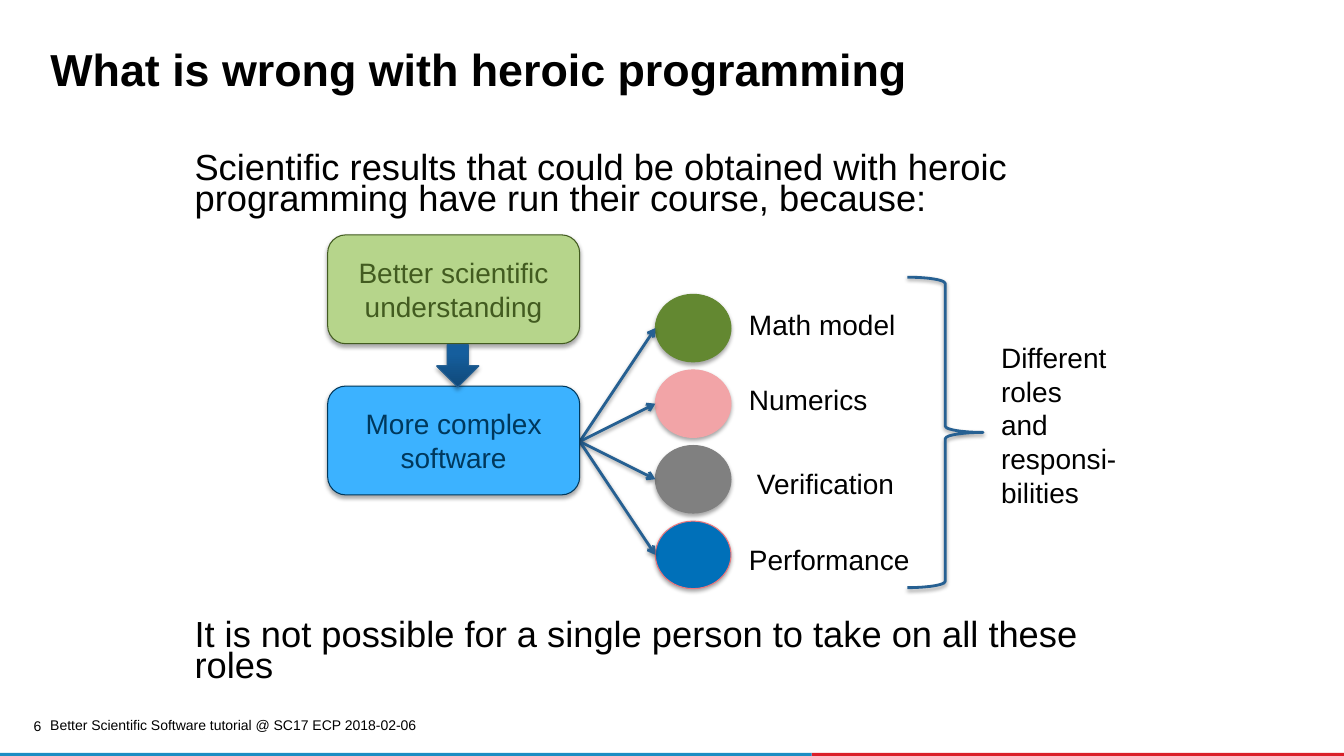
from lxml import etree
from pptx import Presentation
from pptx import util as u
from pptx.dml.color import RGBColor
from pptx.enum import shapes, text
from pptx.oxml.ns import qn

Inches, Pt = u.Inches, u.Pt
Shape, Align, Anchor = shapes.MSO_SHAPE, text.PP_ALIGN, text.MSO_ANCHOR


class Theme:
    font = "Arial"
    ink = "000000"
    footer_blue, footer_red = "1B8DC3", "DA1F28"
    green_box, green_ink = "B6D58B", "425B20"
    blue_box, blue_ink = "3CB2FF", "00385C"
    link, arrow_edge = "266092", "235E91"
    arrow_dark, arrow_light = "104979", "155E9D"
    math, numerics, verification = "638831", "F2A4A7", "808080"
    performance, performance_edge = "0070B9", "EC767C"
    title_size, body_size, label_size, footer_size = 32, 25.9, 20, 10
    thin, thick = 0.75, 2
    box_shadow = {"blur": 3.1, "distance": 1.8, "alpha": 35}
    link_shadow = {"blur": 3.1, "distance": 1.6, "alpha": 38}


def rgb(color):
    return RGBColor.from_string(color)


def apply(target, **formats):
    for name, value in formats.items():
        setattr(target, name, value)


def place(shape, box):
    apply(shape, **dict(zip(("left", "top", "width", "height"), map(Inches, box))))


def write(frame, paragraphs, size, color=Theme.ink, bold=False, **formats):
    frame.text = "\n".join(paragraphs)
    for paragraph in frame.paragraphs:
        apply(paragraph, **formats)
        for run in paragraph.runs:
            apply(run.font, name=Theme.font, size=Pt(size), bold=bold)
            run.font.color.rgb = rgb(color)


def add_shadow(shape, blur, distance, alpha):
    properties = shape._element.spPr
    effects = properties.find(qn("a:effectLst"))
    if effects is None:
        effects = etree.SubElement(properties, qn("a:effectLst"))
    outer = etree.SubElement(effects, qn("a:outerShdw"), blurRad=str(Pt(blur)),
                             dist=str(Pt(distance)), dir="5400000", rotWithShape="0")
    black = etree.SubElement(outer, qn("a:srgbClr"), val=Theme.ink)
    etree.SubElement(black, qn("a:alpha"), val=str(alpha * 1000))


def add_figure(slide, kind, box, fill=None, edge=None, width=Theme.thin, shadow=None):
    figure = slide.shapes.add_shape(kind, *map(Inches, box))
    if fill:
        figure.fill.solid()
        figure.fill.fore_color.rgb = rgb(fill)
    else:
        figure.fill.background()
    if edge:
        figure.line.color.rgb = rgb(edge)
        figure.line.width = Pt(width)
    else:
        figure.line.fill.background()
    figure.shadow.inherit = False
    if shadow:
        add_shadow(figure, **shadow)
    return figure


def add_stage(slide, box, words, fill, ink):
    stage = add_figure(slide, Shape.ROUNDED_RECTANGLE, box, fill, ink, shadow=Theme.box_shadow)
    apply(stage.text_frame, word_wrap=True, vertical_anchor=Anchor.MIDDLE)
    write(stage.text_frame, [words], Theme.label_size, ink, alignment=Align.CENTER)


def add_label(slide, box, paragraphs, size=Theme.label_size, align=Align.LEFT, **frame_formats):
    frame = slide.shapes.add_textbox(*map(Inches, box)).text_frame
    apply(frame, word_wrap=True, **frame_formats)
    write(frame, paragraphs, size, alignment=align)


def add_link(slide, start, end):
    link = slide.shapes.add_connector(shapes.MSO_CONNECTOR.STRAIGHT, *map(Inches, start + end))
    link.line.color.rgb = rgb(Theme.link)
    link.line.width = Pt(Theme.thick)
    etree.SubElement(link._element.spPr.find(qn("a:ln")), qn("a:tailEnd"), type="arrow")
    add_shadow(link, **Theme.link_shadow)


def add_step_arrow(slide, box):
    step = add_figure(slide, Shape.DOWN_ARROW, box, edge=Theme.arrow_edge, shadow=Theme.box_shadow)
    step.fill.gradient()
    step.fill.gradient_angle = 90
    stops = ((0, Theme.arrow_dark), (0.8, Theme.arrow_light))
    for stop, (position, color) in zip(step.fill.gradient_stops, stops):
        stop.position = position
        stop.color.rgb = rgb(color)


def fill_title(title, words):
    place(title, (0.4, 0.45, 12.44, 0.56))
    apply(title.text_frame, vertical_anchor=Anchor.TOP, word_wrap=True,
          auto_size=text.MSO_AUTO_SIZE.SHAPE_TO_FIT_TEXT)
    write(title.text_frame, [words], Theme.title_size, bold=True,
          alignment=Align.LEFT, line_spacing=0.85)


def fill_body(body, paragraphs, gap):
    place(body, (1.83, 1.5, 9.42, 5.58))
    apply(body.text_frame, auto_size=text.MSO_AUTO_SIZE.NONE, word_wrap=True)
    write(body.text_frame, paragraphs, Theme.body_size, line_spacing=0.7, space_before=Pt(14))
    body.text_frame.paragraphs[-1].space_before = Pt(gap)
    for paragraph in body.text_frame.paragraphs:
        properties = paragraph._p.get_or_add_pPr()
        properties.set("marL", "0")
        properties.set("indent", "0")
        etree.SubElement(properties, qn("a:buNone"))


def add_footer(slide):
    add_figure(slide, Shape.RECTANGLE, (8.05, 7.47, 5.28, 0.03), Theme.footer_red)
    add_figure(slide, Shape.RECTANGLE, (0, 7.47, 8.05, 0.03), Theme.footer_blue)
    add_label(slide, (0.4, 7.08, 4.1, 0.22),
              ["Better Scientific Software tutorial @ SC17 ECP 2018-02-06"],
              Theme.footer_size, vertical_anchor=Anchor.MIDDLE)
    add_label(slide, (0.18, 7.12, 0.23, 0.17), ["6"], Theme.footer_size, Align.RIGHT,
              margin_left=0, margin_top=0, margin_right=0, margin_bottom=0)


def add_roles(slide, origin):
    roles = (
        ("Math model", Theme.math, Theme.math, 7.33, 3),
        ("Numerics", Theme.numerics, Theme.numerics, 7.33, 3.75),
        ("Verification", Theme.verification, Theme.verification, 7.41, 4.58),
        ("Performance", Theme.performance, Theme.performance_edge, 7.33, 5.33),
    )
    left, first_top, pitch, width, height = 6.5, 2.92, 0.75, 0.75, 0.67
    for index, (role, fill, edge, label_left, label_top) in enumerate(roles):
        top = first_top + index * pitch
        add_figure(slide, Shape.OVAL, (left, top, width, height), fill, edge,
                   shadow=Theme.box_shadow)
        add_link(slide, origin, (left, top + height / 2))
        add_label(slide, (label_left, label_top, 2, 0.44), [role])


def main():
    deck = Presentation()
    apply(deck, slide_width=Inches(13.33), slide_height=Inches(7.5))
    slide = deck.slides.add_slide(deck.slide_layouts[1])
    fill_title(slide.shapes.title, "What is wrong with heroic programming")
    fill_body(slide.placeholders[1], [
        "Scientific results that could be obtained with heroic programming "
        "have run their course, because:",
        "It is not possible for a single person to take on all these roles",
    ], gap=290)
    add_footer(slide)
    add_stage(slide, (3.25, 2.33, 2.5, 1.08), "Better scientific understanding",
              Theme.green_box, Theme.green_ink)
    add_roles(slide, origin=(5.75, 4.38))
    add_stage(slide, (3.25, 3.83, 2.5, 1.08), "More complex software",
              Theme.blue_box, Theme.blue_ink)
    add_step_arrow(slide, (4.33, 3.42, 0.42, 0.42))
    add_figure(slide, Shape.RIGHT_BRACE, (9, 2.75, 0.75, 3.08), edge=Theme.link,
               width=Theme.thick, shadow=Theme.link_shadow)
    add_label(slide, (9.83, 3.33, 1.42, 1.78), ["Different roles", "and responsi-bilities"])
    deck.save("out.pptx")


main()
